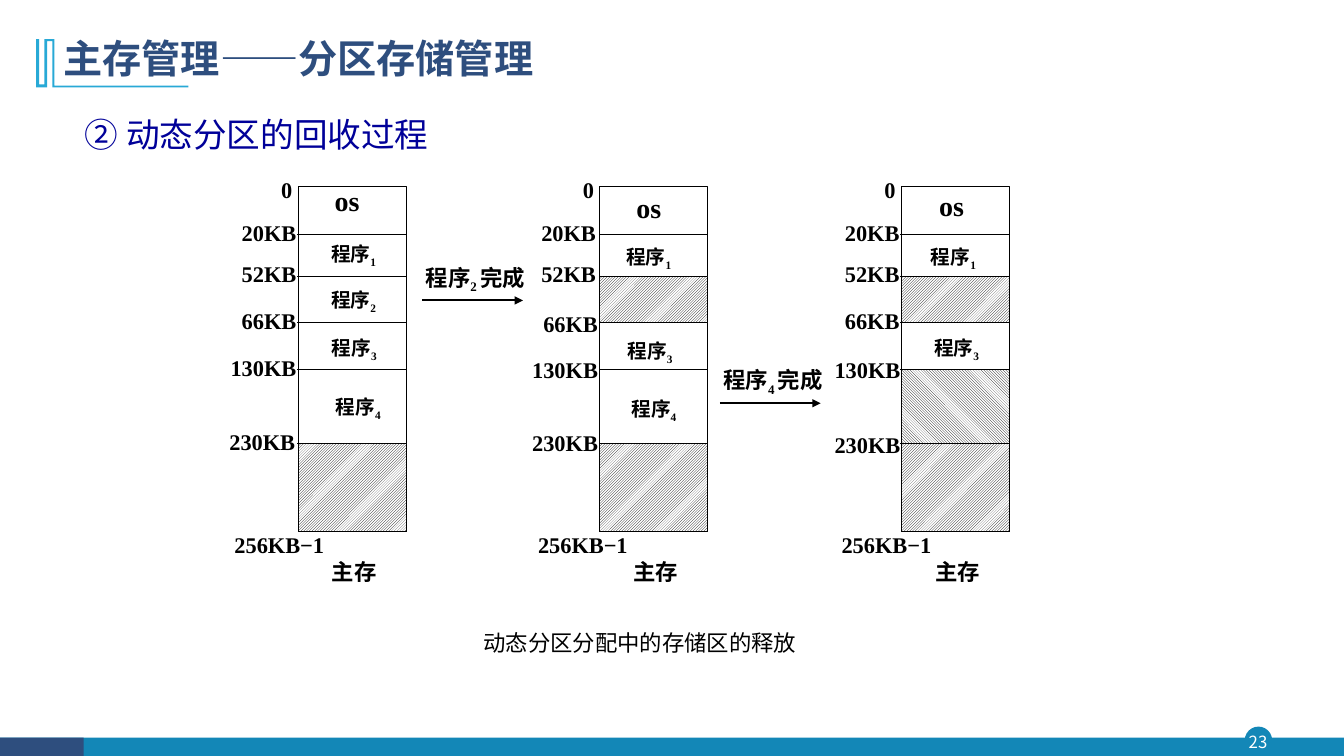
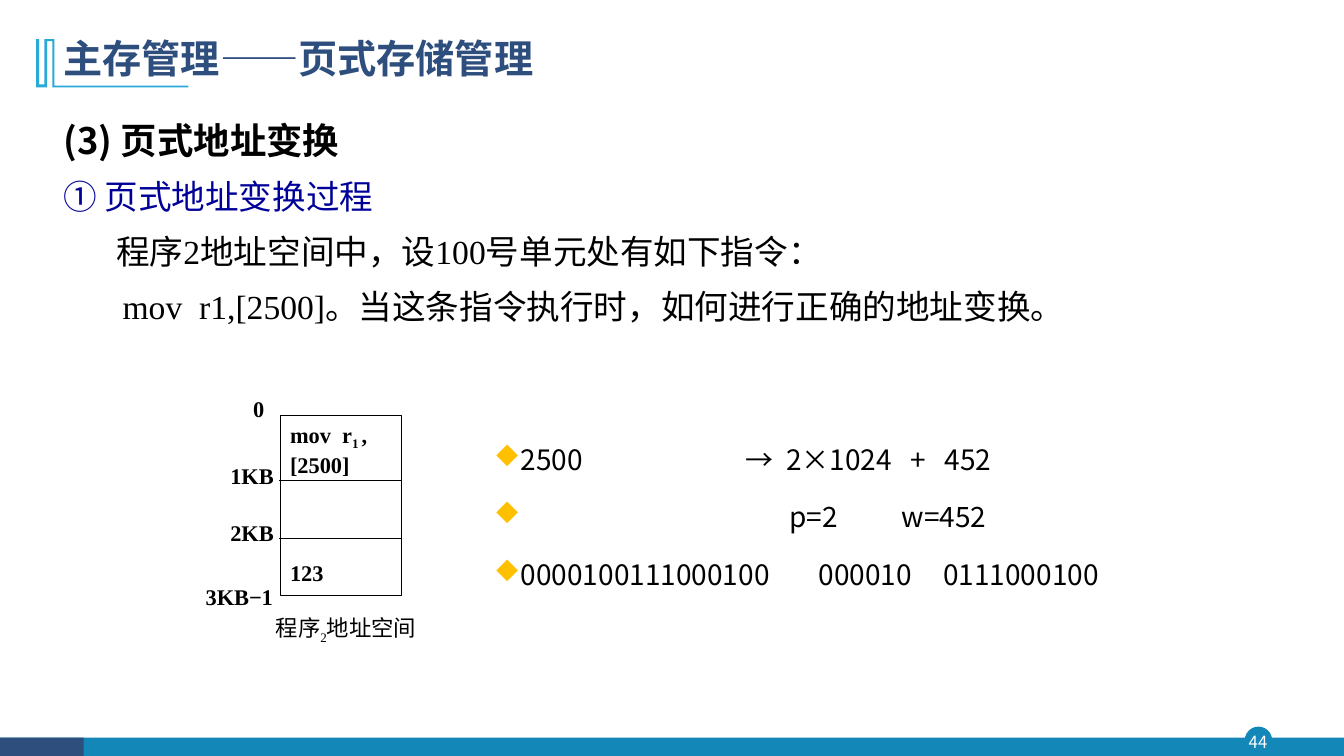
"""Build two slides on partitioned and paged main memory management."""
from dataclasses import dataclass

from lxml import etree
from pptx import Presentation
from pptx.dml.color import RGBColor
from pptx.enum.dml import MSO_PATTERN
from pptx.enum.shapes import MSO_CONNECTOR, MSO_SHAPE
from pptx.enum.text import MSO_ANCHOR, MSO_AUTO_SIZE, PP_ALIGN
from pptx.oxml.ns import qn
from pptx.util import Cm, Pt

LEFT, CENTER, RIGHT = PP_ALIGN.LEFT, PP_ALIGN.CENTER, PP_ALIGN.RIGHT
MIDDLE, TOP = MSO_ANCHOR.MIDDLE, MSO_ANCHOR.TOP
RECTANGLE, OVAL = MSO_SHAPE.RECTANGLE, MSO_SHAPE.OVAL
STRAIGHT = MSO_CONNECTOR.STRAIGHT
NO_AUTOFIT = MSO_AUTO_SIZE.NONE
UPWARD = MSO_PATTERN.LIGHT_UPWARD_DIAGONAL
DOWNWARD = MSO_PATTERN.LIGHT_DOWNWARD_DIAGONAL

Parts = tuple[str, ...]


@dataclass(frozen=True)
class Style:
    """Font of a piece of text."""
    size: float
    color: str = "000000"
    bold: bool = False
    name: str = "Times New Roman"


@dataclass(frozen=True)
class Theme:
    """Colours and type styles of the deck."""
    sans: str = "Noto Sans CJK SC"
    black: str = "000000"
    white: str = "FFFFFF"
    teal: str = "1387B7"
    navy: str = "2E4E7E"
    sky: str = "28A9D6"
    gold: str = "FFC000"
    title: Style = Style(28, "2E4E7E", True, "Noto Sans CJK SC")
    number: Style = Style(12, "FFFFFF", False, "Noto Sans CJK SC")
    section: Style = Style(26, "000000", True, "Noto Sans CJK SC")
    topic: Style = Style(24, "000099")
    body: Style = Style(24)
    steps: Style = Style(20, name="Noto Sans CJK SC")
    mark: Style = Style(16, bold=True)
    caption: Style = Style(16)
    program: Style = Style(14, bold=True)
    system: Style = Style(20, bold=True)


THEME = Theme()


@dataclass(frozen=True)
class Box:
    """Position and size in centimetres."""
    left: float
    top: float
    width: float
    height: float

    def lengths(self) -> tuple:
        """Return the four lengths in slide units."""
        return Cm(self.left), Cm(self.top), Cm(self.width), Cm(self.height)


@dataclass(frozen=True)
class Mark:
    """Address beside a band edge, shifted from the edge's left end."""
    text: str
    shift_x: float = -0.05
    shift_y: float = -0.06


@dataclass(frozen=True)
class Band:
    """One memory region: its shifted lines of text or its hatching."""
    lines: tuple[Parts, ...] = ()
    style: Style = THEME.program
    shift_x: float = 0
    shift_y: float = 0
    pattern: object = None


@dataclass(frozen=True)
class MemoryMap:
    """A column of memory regions with addresses at their edges."""
    left: float
    width: float
    edges: tuple[float, ...]
    marks: tuple[Mark, ...]
    bands: tuple[Band, ...]
    alignment: object = CENTER


@dataclass(frozen=True)
class Line:
    """One body paragraph, with its indents, bullet and tab stops."""
    text: str
    style: Style
    indent: float = 0
    hanging: float = 0
    pitch: float = 39.3
    bullet: str = ""
    tabs: tuple[float, ...] = ()


def apply(target: object, formats: dict) -> None:
    """Set each attribute of the target from the format values."""
    for attribute, value in formats.items():
        setattr(target, attribute, value)


def write(paragraph, parts: Parts, style: Style) -> None:
    """Add runs to a paragraph; every second part is a subscript."""
    for index, part in enumerate(parts):
        run = paragraph.add_run()
        run.text = part
        apply(run.font, {"name": style.name, "size": Pt(style.size), "bold": style.bold})
        run.font.color.rgb = RGBColor.from_string(style.color)
        properties = run._r.get_or_add_rPr()
        etree.SubElement(properties, qn("a:ea"), typeface=THEME.sans)
        if index % 2:
            properties.set("baseline", "-25000")


def set_frame(text_frame, anchor) -> None:
    """Give a text frame its wrapping, anchor and zero insets."""
    apply(text_frame, {
        "word_wrap": True, "auto_size": NO_AUTOFIT, "vertical_anchor": anchor,
        "margin_left": 0, "margin_right": 0, "margin_top": 0, "margin_bottom": 0,
    })


def add_label(slide, box: Box, lines: tuple[Parts, ...], style: Style,
              alignment=CENTER) -> None:
    """Add a text box with vertically centred lines."""
    text_frame = slide.shapes.add_textbox(*box.lengths()).text_frame
    set_frame(text_frame, MIDDLE)
    for index, parts in enumerate(lines):
        paragraph = text_frame.add_paragraph() if index else text_frame.paragraphs[0]
        paragraph.alignment = alignment
        write(paragraph, parts, style)


def paint(shape, color: str) -> None:
    """Give a shape a plain fill without line or shadow."""
    shape.shadow.inherit = False
    shape.fill.solid()
    shape.fill.fore_color.rgb = RGBColor.from_string(color)
    shape.line.fill.background()


def decorate_master(presentation, slide) -> None:
    """Draw the shared footer and title ornament and move them to the master."""
    footer = (
        (OVAL, Box(31.37, 18.31, 0.69, 0.69), THEME.teal),
        (RECTANGLE, Box(0, 18.59, 33.87, 0.46), THEME.teal),
        (RECTANGLE, Box(0, 18.59, 2.11, 0.46), THEME.navy),
    )
    ornament = (
        (1.37, 0.99), (1.37, 2.16), (4.75, 2.16), (4.75, 2.2), (1.32, 2.2),
        (1.32, 1.04), (1.19, 1.04), (1.19, 2.2), (0.91, 2.2), (0.91, 0.99),
        (0.99, 0.99), (0.99, 2.13), (1.12, 2.13), (1.12, 0.99),
    )
    shapes = []
    for kind, box, color in footer:
        shape = slide.shapes.add_shape(kind, *box.lengths())
        paint(shape, color)
        shapes.append(shape)
    points = [(Cm(x), Cm(y)) for x, y in ornament]
    builder = slide.shapes.build_freeform(*points[0])
    builder.add_line_segments(points[1:], close=True)
    outline = builder.convert_to_shape()
    paint(outline, THEME.sky)
    tree = presentation.slide_master.shapes.element
    for number, shape in enumerate((*shapes, outline), start=20):
        shape.element.nvSpPr.cNvPr.set("id", str(number))
        tree.append(shape.element)


def place(placeholder, box: Box, anchor):
    """Move a placeholder and return its formatted text frame."""
    apply(placeholder, dict(zip(("left", "top", "width", "height"), box.lengths())))
    set_frame(placeholder.text_frame, anchor)
    return placeholder.text_frame


def set_heading(slide, title: str, number: str) -> None:
    """Write the title and the page number."""
    text_frame = place(slide.shapes.title, Box(1.6, 0.83, 26.4, 1.42), MIDDLE)
    paragraph = text_frame.paragraphs[0]
    apply(paragraph, {"alignment": LEFT, "line_spacing": 0.9})
    write(paragraph, (title,), THEME.title)
    add_label(slide, Box(31.3, 18.31, 0.81, 0.79), ((number,),), THEME.number)


def add_body(placeholder, box: Box, lines: tuple[Line, ...]) -> None:
    """Write lines with indents, bullets and tab stops into a placeholder."""
    text_frame = place(placeholder, box, TOP)
    for index, line in enumerate(lines):
        paragraph = text_frame.add_paragraph() if index else text_frame.paragraphs[0]
        properties = paragraph._p.get_or_add_pPr()
        properties.set("marL", str(Cm(line.indent)))
        properties.set("indent", str(Cm(-line.hanging)))
        if line.bullet:
            color = etree.SubElement(properties, qn("a:buClr"))
            etree.SubElement(color, qn("a:srgbClr"), val=THEME.gold)
            etree.SubElement(properties, qn("a:buSzPct"), val="95000")
            etree.SubElement(properties, qn("a:buFont"), typeface="Wingdings", charset="2")
            etree.SubElement(properties, qn("a:buChar"), char=line.bullet)
        else:
            etree.SubElement(properties, qn("a:buNone"))
        if line.tabs:
            stops = etree.SubElement(properties, qn("a:tabLst"))
            for stop in line.tabs:
                etree.SubElement(stops, qn("a:tab"), pos=str(Cm(stop)), algn="l")
        apply(paragraph, {"alignment": LEFT, "space_before": Pt(0),
                          "space_after": Pt(0), "line_spacing": Pt(line.pitch)})
        write(paragraph, (line.text,), line.style)


def add_region(slide, box: Box, pattern=None) -> None:
    """Draw an outlined memory rectangle, white or hatched."""
    shape = slide.shapes.add_shape(RECTANGLE, *box.lengths())
    paint(shape, THEME.white)
    if pattern:
        shape.fill.patterned()
        shape.fill.pattern = pattern
        shape.fill.fore_color.rgb = RGBColor.from_string(THEME.black)
        shape.fill.back_color.rgb = RGBColor.from_string(THEME.white)
    shape.line.color.rgb = RGBColor.from_string(THEME.black)
    shape.line.width = Pt(0.75)


def add_rule(slide, left: float, top: float, width: float, weight: float):
    """Draw a horizontal black line."""
    rule = slide.shapes.add_connector(STRAIGHT, Cm(left), Cm(top), Cm(left + width), Cm(top))
    rule.line.color.rgb = RGBColor.from_string(THEME.black)
    rule.line.width = Pt(weight)
    etree.SubElement(rule._element.spPr, qn("a:effectLst"))
    return rule


def add_memory(slide, memory: MemoryMap) -> None:
    """Draw a memory frame, its dividing lines, regions and addresses."""
    left, width, edges = memory.left, memory.width, memory.edges
    add_region(slide, Box(left, edges[0], width, edges[-1] - edges[0]))
    for edge in edges[1:-1]:
        add_rule(slide, left - 0.03, edge, width + 0.03, 0.75)
    for band, top, bottom in zip(memory.bands, edges, edges[1:]):
        if band.pattern:
            add_region(slide, Box(left, top, width, bottom - top), band.pattern)
        elif band.lines:
            box = Box(left + 0.25 + band.shift_x, top + band.shift_y, width - 0.5, bottom - top)
            add_label(slide, box, band.lines, band.style, memory.alignment)
    for mark, edge in zip(memory.marks, edges):
        box = Box(left + mark.shift_x - 3, edge + mark.shift_y - 0.4, 3, 0.8)
        add_label(slide, box, ((mark.text,),), THEME.mark, RIGHT)


def add_step(slide, left: float, top: float, program: str) -> None:
    """Draw an arrow with the finished program written above it."""
    arrow = add_rule(slide, left, top, 2.54, 1.5)
    etree.SubElement(arrow.line._get_or_add_ln(), qn("a:tailEnd"), type="triangle")
    box = Box(left - 0.36, top - 0.94, 3.4, 0.8)
    add_label(slide, box, (("程序", program + " ", "完成"),), THEME.mark)


def system(shift_x: float, shift_y: float) -> Band:
    """Return the region of the operating system."""
    return Band((("os",),), THEME.system, shift_x, shift_y)


def program(digit: str, shift_x: float, shift_y: float) -> Band:
    """Return the region of a numbered program."""
    return Band((("程序", digit),), THEME.program, shift_x, shift_y)


def build_partition_slide(slide) -> None:
    """Show how dynamic partitions are released."""
    set_heading(slide, "主存管理——分区存储管理", "23")
    add_body(slide.placeholders[1], Box(2.14, 2.49, 15, 1.5),
             (Line("② 动态分区的回收过程", THEME.topic),))
    edges = (4.7, 5.92, 6.96, 8.13, 9.32, 11.18, 13.39)
    free, released = Band(pattern=UPWARD), Band(pattern=DOWNWARD)
    stages = (
        ((system(-0.13, -0.25), program("1", 0.03, 0), program("2", 0.03, 0.05),
          program("3", 0.05, 0.08), program("4", 0.15, 0.03), free),
         (Mark("20KB"), Mark("52KB"), Mark("66KB"), Mark("130KB"), Mark("230KB", -0.08))),
        ((system(-0.13, -0.08), program("1", -0.13, 0.08), free,
          program("3", -0.1, 0.15), program("4", 0, 0.1), free),
         (Mark("20KB", -0.1), Mark("52KB", -0.1), Mark("66KB", -0.05, 0.02),
          Mark("130KB", -0.05, 0), Mark("230KB", -0.05, -0.03))),
        ((system(-0.1, -0.13), program("1", -0.05, 0.08), free,
          program("3", 0.03, 0.08), released, free),
         (Mark("20KB"), Mark("52KB"), Mark("66KB"), Mark("130KB", -0.03, 0),
          Mark("230KB", -0.03, 0.02))),
    )
    for index, (bands, inner_marks) in enumerate(stages):
        left = 7.52 + 7.6 * index
        marks = (Mark("0", -0.15, 0.07), *inner_marks, Mark("256KB−1", 0.65 + 0.05 * index, 0.33))
        add_memory(slide, MemoryMap(left, 2.72, edges, marks, bands))
        add_label(slide, Box(left + 0.05, 14, 2.72, 0.8), (("主存",),), THEME.mark)
    add_step(slide, 10.64, 7.57, "2")
    add_step(slide, 18.14, 10.16, "4")
    add_label(slide, Box(11.13, 15.8, 10, 0.8), (("动态分区分配中的存储区的释放",),), THEME.caption)


def build_paging_slide(slide) -> None:
    """Show how a paged address is translated."""
    set_heading(slide, "主存管理——页式存储管理", "44")
    add_body(slide.placeholders[1], Box(1.6, 2.68, 27, 6), (
        Line("(3) 页式地址变换", THEME.section),
        Line("① 页式地址变换过程", THEME.topic),
        Line("程序2地址空间中，设100号单元处有如下指令：", THEME.body, 1.33),
        Line("mov  r1,[2500]。当这条指令执行时，如何进行正确的地址变换。", THEME.body, 1.49),
    ))
    rows = (
        (("2500", "→", "2×1024", "+", "452"), (6.34, 7.36, 10.5, 11.36)),
        (("", "p=2", "w=452"), (7.44, 10.27)),
        (("0000100111000100", "000010", "0111000100"), (8.18, 11.32)),
    )
    add_body(slide.placeholders[2], Box(12.45, 10.55, 20, 4.4), tuple(
        Line("\t".join(cells), THEME.steps, 0.64, 0.64, 41, "u", tabs) for cells, tabs in rows))
    marks = (Mark("0", -0.4, -0.17), Mark("1KB", -0.16, -0.13), Mark("2KB", -0.16, -0.13),
             Mark("3KB−1", -0.18, 0.03))
    bands = (Band((("mov  r", "1 ", ","), ("[2500]",)), THEME.mark, 0, 0.03), Band(),
             Band((("123",),), THEME.mark, 0, 0.15))
    add_memory(slide, MemoryMap(7.06, 3.07, (10.47, 12.12, 13.56, 15), marks, bands, LEFT))
    add_label(slide, Box(6.22, 15.47, 5, 0.8), (("程序", "2", "地址空间"),), THEME.caption)


def main() -> None:
    """Build and save the presentation."""
    presentation = Presentation()
    apply(presentation, {"slide_width": Cm(33.87), "slide_height": Cm(19.05)})
    layouts = presentation.slide_layouts
    partition_slide = presentation.slides.add_slide(layouts[1])
    decorate_master(presentation, partition_slide)
    build_partition_slide(partition_slide)
    build_paging_slide(presentation.slides.add_slide(layouts[3]))
    presentation.save("out.pptx")


if __name__ == "__main__":
    main()
